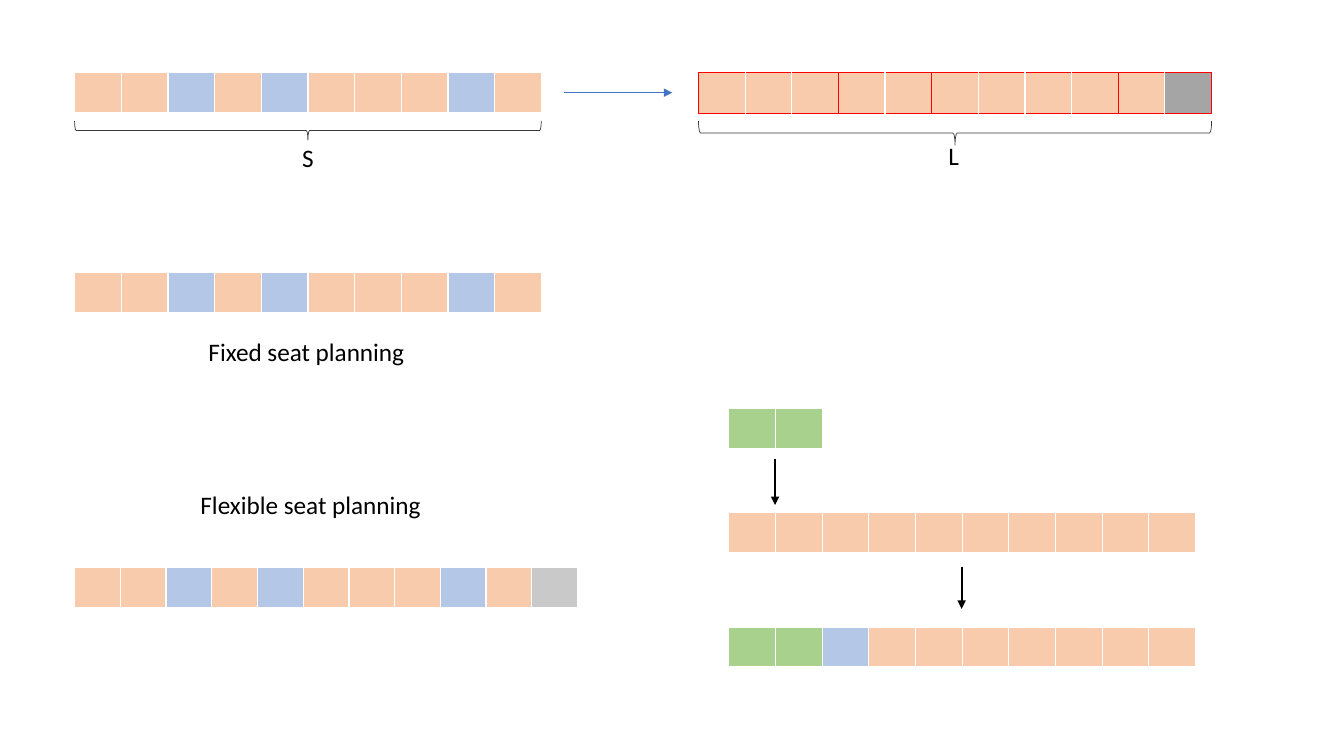
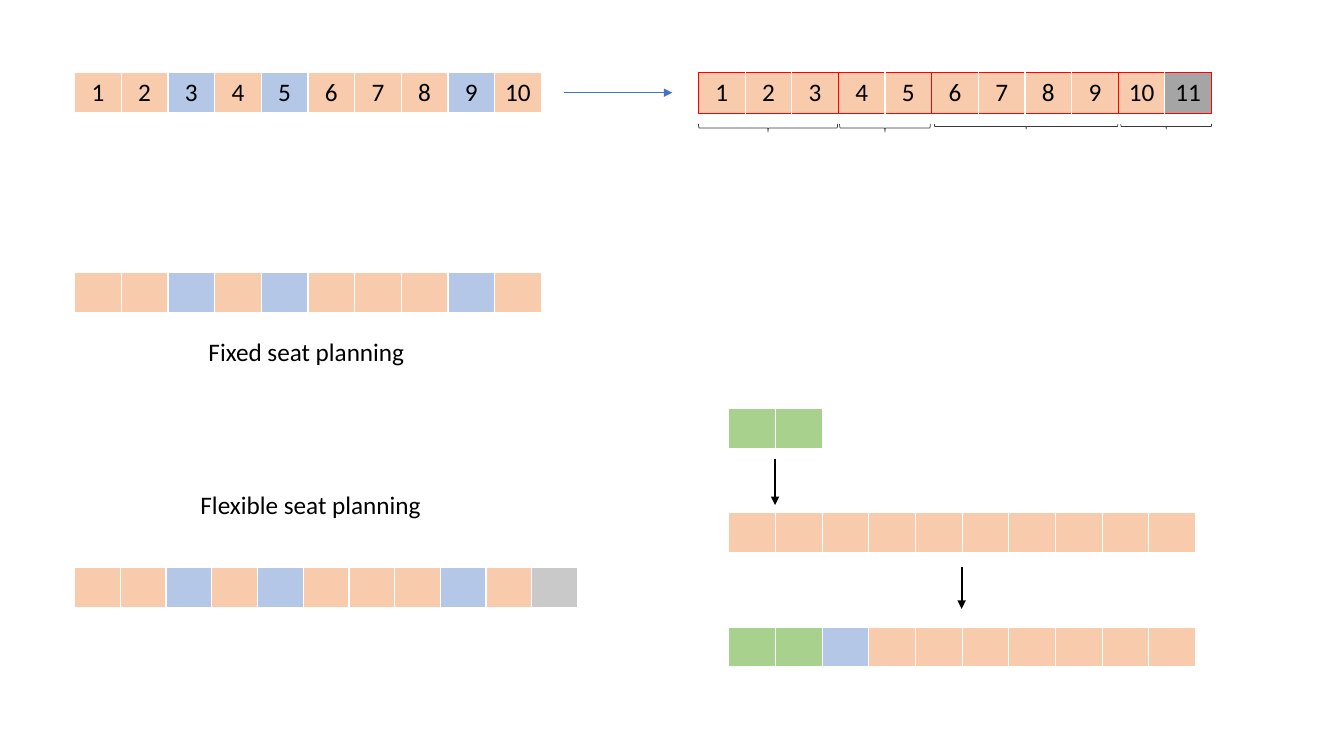
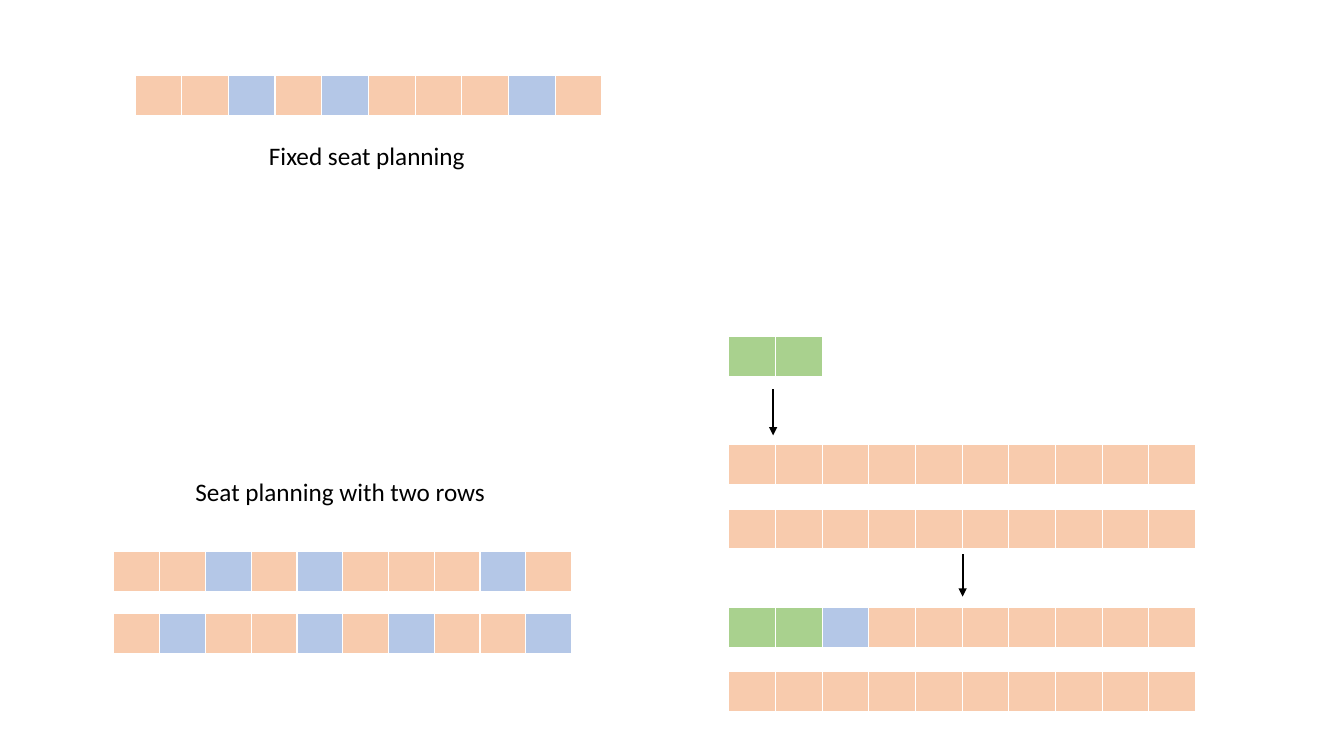
from dataclasses import dataclass

from lxml import etree
from pptx import Presentation
from pptx.dml.color import RGBColor
from pptx.enum.shapes import MSO_CONNECTOR, MSO_SHAPE
from pptx.enum.text import MSO_AUTO_SIZE, PP_ALIGN
from pptx.oxml.ns import qn
from pptx.util import Emu, Pt

STRAIGHT = MSO_CONNECTOR.STRAIGHT
LEFT_BRACE = MSO_SHAPE.LEFT_BRACE
FIT_SHAPE = MSO_AUTO_SIZE.SHAPE_TO_FIT_TEXT
CENTER = PP_ALIGN.CENTER

EMU_PER_PX = 9144
BLANK_LAYOUT = 6
ROW_WIDTH = 463
ROW_HEIGHT = 41
CAPTION_HEIGHT = 40


@dataclass(frozen=True)
class Theme:
    font: str = "Calibri"
    text_size: int = 18
    black: str = "000000"
    white: str = "FFFFFF"
    red: str = "FF0000"
    blue_line: str = "4472C4"
    brace: str = "3B3838"
    thin: float = 0.5
    thick: float = 1.5
    cell_border: int = 1
    row_bottom: int = 3


THEME = Theme()
SEAT_COLORS = {"o": "F8CBAD", "b": "B4C7E7", "g": "A9D18E", "s": "C9C9C9", "d": "A5A5A5"}
FIXED_ROW = "oobobooobo"
FLEXIBLE_ROW = FIXED_ROW + "s"
SECOND_ROW = "obooboboob"
EMPTY_ROW = "o" * 10
PARTY = "gg"
ASSIGNED_ROW = "ggb" + "o" * 7
EXTENDED_ROW = EMPTY_ROW + "d"
GROUP_SIZES = (3, 2, 4, 2)
GROUP_BRACES = ((0, 3, 138, 8), (140, 3, 90, 8), (234, 3, 182, 5), (419, 3, 90, 5))


def px(value):
    return Emu(int(value * EMU_PER_PX))


def rgb(color):
    return RGBColor.from_string(color)


def format_text(paragraph):
    for run in paragraph.runs:
        run.font.name = THEME.font
        run.font.size = Pt(THEME.text_size)
        run.font.color.rgb = rgb(THEME.black)


def set_border(cell, side, color, width):
    properties = cell._tc.get_or_add_tcPr()
    line = etree.SubElement(properties, qn("a:ln" + side), w=str(Pt(width)))
    fill = etree.SubElement(line, qn("a:solidFill"))
    etree.SubElement(fill, qn("a:srgbClr"), val=color)


def plain_borders(count):
    border = (THEME.white, THEME.cell_border)
    bottom = (THEME.white, THEME.row_bottom)
    return [{"L": border, "R": border, "T": border, "B": bottom}] * count


def grouped_borders(sizes):
    red = (THEME.red, THEME.cell_border)
    white = (THEME.white, THEME.cell_border)
    return [
        {"L": red if seat == 0 else white, "R": red if seat == size - 1 else white, "T": red, "B": red}
        for size in sizes
        for seat in range(size)
    ]


def add_seat_row(slide, left, top, width, seats, borders=None, numbered=False):
    frame = slide.shapes.add_table(1, len(seats), px(left), px(top), px(width), px(ROW_HEIGHT))
    table = frame.table
    table.first_row = False
    table.horz_banding = False
    borders = borders or plain_borders(len(seats))
    for index, (seat, cell_borders) in enumerate(zip(seats, borders)):
        table.columns[index].width = px(width / len(seats))
        cell = table.cell(0, index)
        for side, (color, line_width) in cell_borders.items():
            set_border(cell, side, color, line_width)
        cell.fill.solid()
        cell.fill.fore_color.rgb = rgb(SEAT_COLORS[seat])
        if numbered:
            paragraph = cell.text_frame.paragraphs[0]
            paragraph.text = str(index + 1)
            paragraph.alignment = CENTER
            format_text(paragraph)


def add_arrow(slide, start, end, color, width):
    arrow = slide.shapes.add_connector(STRAIGHT, *map(px, start + end))
    arrow.line.color.rgb = rgb(color)
    arrow.line.width = Pt(width)
    etree.SubElement(arrow.line._get_or_add_ln(), qn("a:tailEnd"), type="triangle")
    etree.SubElement(arrow._element.spPr, qn("a:effectLst"))


def add_brace(slide, left, top, width, height):
    shift = (width - height) / 2
    brace = slide.shapes.add_shape(LEFT_BRACE, px(left + shift), px(top - shift), px(height), px(width))
    brace.rotation = 270
    brace.shadow.inherit = False
    brace.fill.background()
    brace.line.color.rgb = rgb(THEME.brace)
    brace.line.width = Pt(THEME.thin)


def add_caption(slide, left, top, width, text):
    caption = slide.shapes.add_textbox(px(left), px(top), px(width), px(CAPTION_HEIGHT))
    frame = caption.text_frame
    frame.text = text
    frame.word_wrap = False
    frame.auto_size = FIT_SHAPE
    format_text(frame.paragraphs[0])


def draw_extension(slide, left, top, numbered):
    extended_left = left + 619
    extended_width = 509
    middle = top + 20
    brace_top = top + 48
    add_seat_row(slide, left, top, ROW_WIDTH, FIXED_ROW, numbered=numbered)
    add_seat_row(slide, extended_left, top, extended_width, EXTENDED_ROW,
                 grouped_borders(GROUP_SIZES), numbered)
    add_arrow(slide, (left + 486, middle), (left + 593, middle), THEME.blue_line, THEME.thin)
    if numbered:
        for offset, drop, width, height in GROUP_BRACES:
            add_brace(slide, extended_left + offset, brace_top + drop, width, height)
    else:
        add_brace(slide, left, brace_top, ROW_WIDTH, 19)
        add_caption(slide, left + 216, top + 64, 32, "S")
        add_brace(slide, extended_left, brace_top, extended_width, 24)
        add_caption(slide, extended_left + 238, top + 62, 31, "L")


def draw_fixed_plan(slide, left, top):
    add_seat_row(slide, left, top, ROW_WIDTH, FIXED_ROW)
    add_caption(slide, left + 123, top + 59, 217, "Fixed seat planning")


def draw_flexible_plan(slide, left, top):
    add_caption(slide, left + 115, top, 241, "Flexible seat planning")
    add_seat_row(slide, left, top + 82, 499, FLEXIBLE_ROW)


def draw_two_row_plan(slide, left, top):
    add_caption(slide, left + 71, top, 311, "Seat planning with two rows")
    for index, seats in enumerate((FIXED_ROW, SECOND_ROW)):
        add_seat_row(slide, left, top + 79 + 62 * index, 454, seats)


def draw_assignment(slide, left, top, before, after, party_arrow, result_arrow):
    add_seat_row(slide, left, top, 93, PARTY)
    for arrow_left, arrow_top, length in (party_arrow, result_arrow):
        start = (left + arrow_left, top + arrow_top)
        end = (left + arrow_left, top + arrow_top + length)
        add_arrow(slide, start, end, THEME.black, THEME.thick)
    for offset in before:
        add_seat_row(slide, left, top + offset, ROW_WIDTH, EMPTY_ROW)
    for offset, seats in zip(after, (ASSIGNED_ROW, EMPTY_ROW)):
        add_seat_row(slide, left, top + offset, ROW_WIDTH, seats)


def build_flexible_slide(slide, numbered):
    draw_extension(slide, 74, 72, numbered)
    draw_fixed_plan(slide, 74, 270)
    draw_flexible_plan(slide, 74, 481)
    draw_assignment(slide, 723, 405, (103,), (217,), (46, 50, 46), (231, 158, 41))


def build_two_row_slide(slide):
    draw_fixed_plan(slide, 134, 75)
    draw_two_row_plan(slide, 113, 468)
    draw_assignment(slide, 723, 334, (107, 171), (269, 332), (44, 52, 46), (232, 216, 42))


def main():
    presentation = Presentation()
    presentation.slide_width = px(1333.33)
    presentation.slide_height = px(750)
    layout = presentation.slide_layouts[BLANK_LAYOUT]
    for numbered in (False, True):
        build_flexible_slide(presentation.slides.add_slide(layout), numbered)
    build_two_row_slide(presentation.slides.add_slide(layout))
    presentation.save("out.pptx")


if __name__ == "__main__":
    main()
